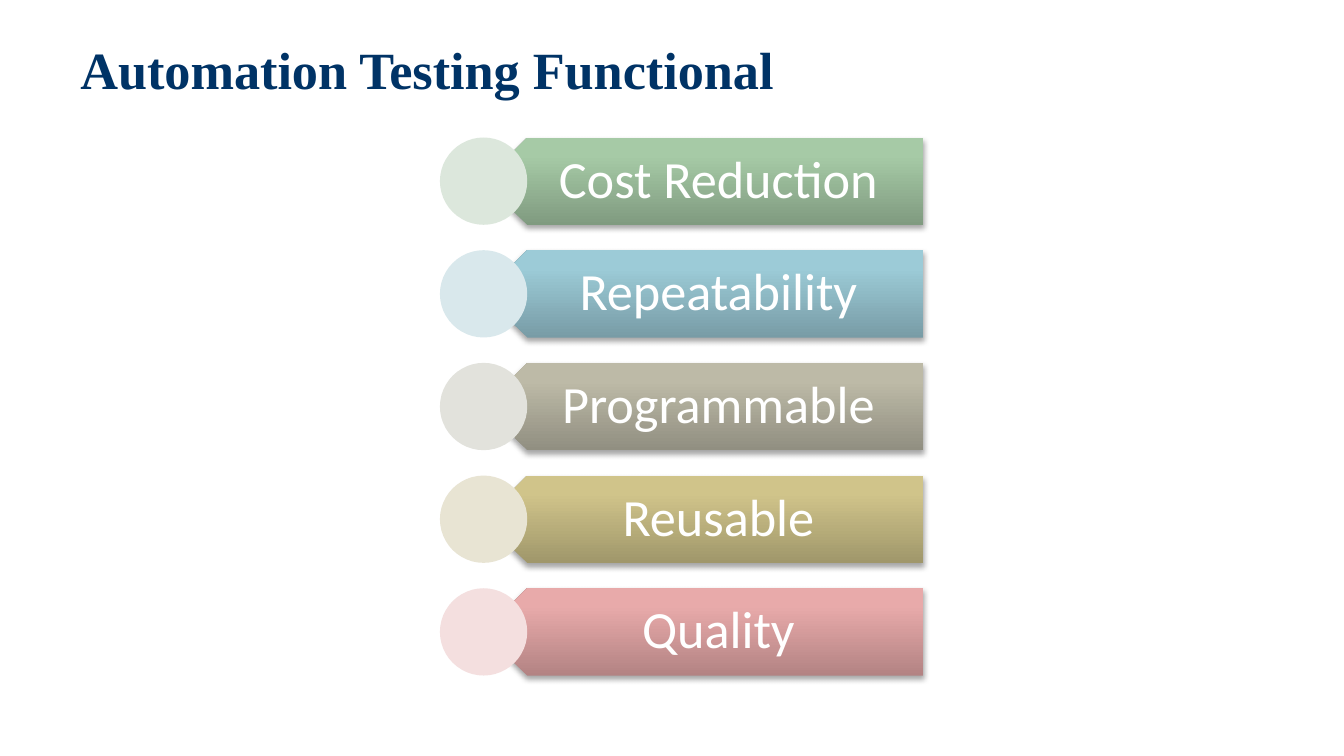
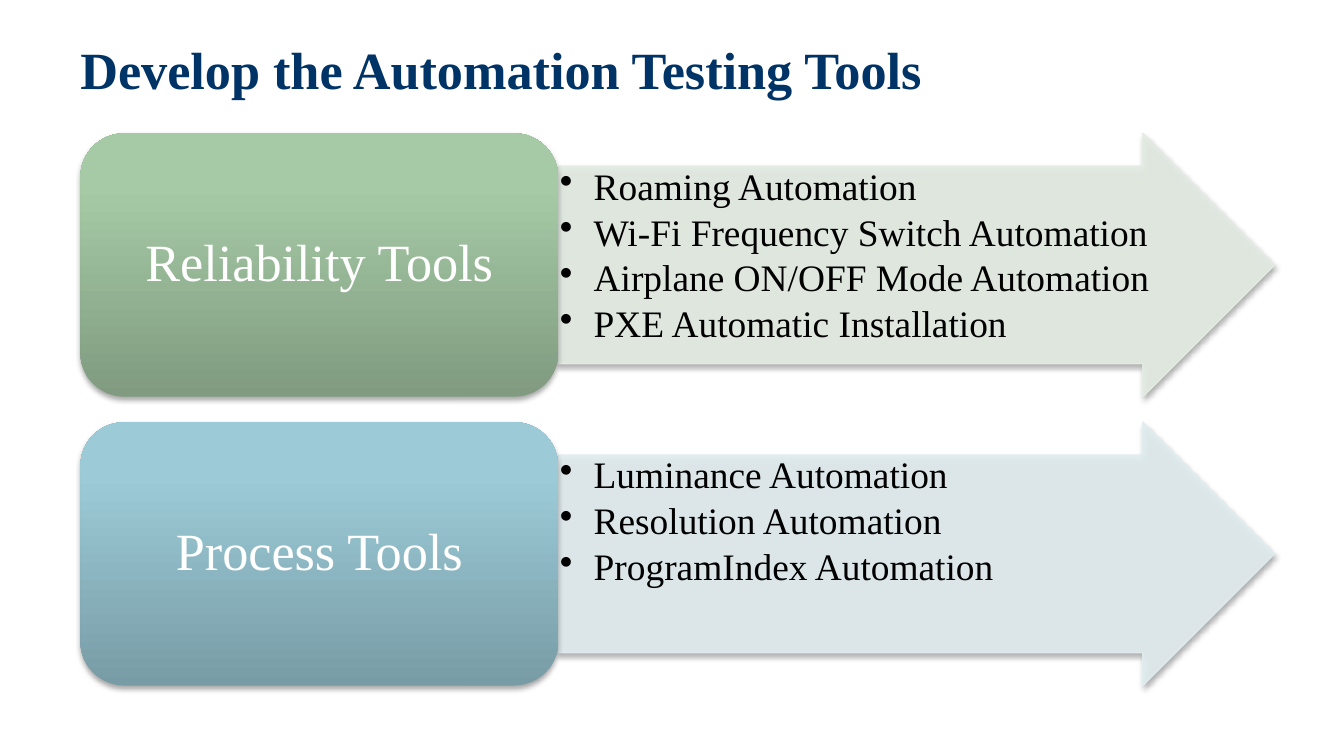
"""Build two slides on automation testing."""
from dataclasses import dataclass
from typing import NamedTuple

from lxml.etree import SubElement as Sub
from pptx import Presentation
from pptx.dml.color import RGBColor
from pptx.enum.shapes import MSO_SHAPE as Kind
from pptx.enum.text import MSO_ANCHOR as Anchor, PP_ALIGN as Align
from pptx.oxml.ns import qn
from pptx.shapes.autoshape import Shape
from pptx.slide import Slide
from pptx.util import Cm, Pt

SERIF, SANS = "Times New Roman", "Calibri"
NAVY, WHITE, BLACK = "003366", "FFFFFF", "000000"


class Box(NamedTuple):
    """A frame in centimetres."""
    left: float
    top: float
    width: float
    height: float

    def place(self) -> tuple:
        """Return the frame as lengths."""
        return tuple(Cm(side) for side in self)


@dataclass(frozen=True)
class Shade:
    """The three stops of a gradient, from the bottom up."""
    dark: str
    mid: str
    light: str


@dataclass(frozen=True)
class Banner:
    """A label on a pointed bar with a disc."""
    label: str
    shade: Shade
    disc: str


@dataclass(frozen=True)
class Group:
    """A card with an arrow that lists its tools."""
    label: str
    shade: Shade
    wash: str
    tools: tuple[str, ...]


GREEN = Shade("809B80", "A6CAA6", "A7CBA7")
BLUE = Shade("789CA6", "9CCBD7", "9CCCD9")
GREY = Shade("918F81", "BDBAA7", "BEBBA7")
GOLD = Shade("A0976B", "D0C48A", "D2C68A")
ROSE = Shade("B38383", "E8AAAA", "EAAAAA")

BANNERS = (
    Banner("Cost Reduction", GREEN, "DCE7DC"),
    Banner("Repeatability", BLUE, "D9E8EC"),
    Banner("Programmable", GREY, "E2E2DC"),
    Banner("Reusable", GOLD, "E8E4D3"),
    Banner("Quality", ROSE, "F4DFDF"),
)
GROUPS = (
    Group("Reliability Tools", GREEN, "E4ECE4", (
        "Roaming Automation",
        "Wi-Fi Frequency Switch Automation",
        "Airplane ON/OFF Mode Automation",
        "PXE Automatic Installation",
    )),
    Group("Process Tools", BLUE, "E1EDF0", (
        "Luminance Automation",
        "Resolution Automation",
        "ProgramIndex Automation",
    )),
)


def hue(code: str) -> RGBColor:
    """Turn a hex string into a colour."""
    return RGBColor.from_string(code)


def write(slide: Slide, box: Box, text: str, *, size: float = 28, font: str = SERIF,
          color: str = WHITE, bold: bool = False, align: Align = Align.CENTER,
          anchor: Anchor = Anchor.MIDDLE, pad: tuple = (0.3, 0.15, 0.3, 0.15),
          line: float = 0.9, after: int = 35, bullet: bool = False) -> None:
    """Add a text box with one paragraph for each line of text."""
    frame = slide.shapes.add_textbox(*box.place()).text_frame
    frame.word_wrap = True
    frame.vertical_anchor = anchor
    (frame.margin_left, frame.margin_top,
     frame.margin_right, frame.margin_bottom) = map(Cm, pad)
    frame.text = text
    for para in frame.paragraphs:
        para.alignment = align
        para.line_spacing = line
        face = para.runs[0].font
        face.name, face.size, face.bold = font, Pt(size), bold
        face.color.rgb = hue(color)
        props = para._p.get_or_add_pPr()
        Sub(Sub(props, qn("a:spcAft")), qn("a:spcPct"), val=str(after * 1000))
        if bullet:
            para.level = 1
            props.set("marL", str(Cm(0.64)))
            props.set("indent", str(-Cm(0.64)))
            Sub(props, qn("a:buChar"), char="•")


def draw(slide: Slide, kind: Kind, box: Box) -> Shape:
    """Add a preset shape without line or shadow."""
    shape = slide.shapes.add_shape(kind, *box.place())
    shape.shadow.inherit = False
    shape.line.fill.background()
    return shape


def blend(shape: Shape, shade: Shade) -> None:
    """Fill a shape with an upright gradient that ignores rotation."""
    shape.fill.gradient()
    grad = shape._element.spPr.find(qn("a:gradFill"))
    for child in list(grad):
        grad.remove(child)
    grad.set("rotWithShape", "0")
    stops = Sub(grad, qn("a:gsLst"))
    for spot, code in zip((0, 80, 100), (shade.dark, shade.mid, shade.light)):
        stop = Sub(stops, qn("a:gs"), pos=str(spot * 1000))
        Sub(stop, qn("a:srgbClr"), val=str(hue(code)))
    Sub(grad, qn("a:lin"), ang="16200000", scaled="0")


def glaze(shape: Shape, code: str) -> None:
    """Give a shape a fill and line of 90 percent strength."""
    shape.fill.solid()
    shape.fill.fore_color.rgb = hue(code)
    shape.line.color.rgb = hue(code)
    shape.line.width = Pt(0.75)
    for tint in shape._element.spPr.iter(qn("a:srgbClr")):
        Sub(tint, qn("a:alpha"), val="90000")


def lift(shape: Shape) -> None:
    """Cast a soft shadow straight down."""
    cast = Sub(shape._element.spPr.find(qn("a:effectLst")), qn("a:outerShdw"),
               blurRad=str(Pt(3.1)), dist=str(Pt(1.8)), dir="5400000", rotWithShape="0")
    Sub(Sub(cast, qn("a:srgbClr"), val=str(hue(BLACK))), qn("a:alpha"), val="35000")


def start(deck: Presentation, title: str) -> Slide:
    """Add a blank slide with its title."""
    slide = deck.slides.add_slide(deck.slide_layouts[6])
    write(slide, Box(1.27, 0.25, 22.86, 2.11), title, color=NAVY, bold=True,
          align=Align.LEFT, pad=(0.25, 0.13, 0.25, 0.13), line=1, after=0)
    return slide


def banner(slide: Slide, item: Banner, top: float) -> None:
    """Draw one pointed bar, its label and its disc."""
    left, width, tall = 9.14, 8.31, 1.65
    bar = draw(slide, Kind.PENTAGON, Box(left, top, width, tall))
    bar.rotation = 180
    blend(bar, item.shade)
    lift(bar)
    write(slide, Box(left + tall / 4, top, width - tall / 4, tall), item.label,
          font=SANS, pad=(0.71, 0.3, 0.56, 0.3))
    disc = draw(slide, Kind.OVAL, Box(left - tall / 2, top, tall, tall))
    disc.fill.solid()
    disc.fill.fore_color.rgb = hue(item.disc)


def group(slide: Slide, item: Group, top: float) -> None:
    """Draw one arrow with its list, and the card before it."""
    left, width, tall, reach, edge = 1.52, 9.03, 4.98, 13.54, 0.24
    tail = left + width
    arrow = draw(slide, Kind.RIGHT_ARROW, Box(tail, top, reach, tall))
    arrow.adjustments[0], arrow.adjustments[1] = 0.75, 0.5
    glaze(arrow, item.wash)
    lift(arrow)
    write(slide, Box(tail, top + tall / 8, reach - tall * 3 / 8, tall * 3 / 4),
          "\n".join(item.tools), size=20, color=BLACK, align=Align.LEFT,
          anchor=Anchor.TOP, pad=(0.03,) * 4, after=15, bullet=True)
    card = draw(slide, Kind.ROUNDED_RECTANGLE, Box(left, top, width, tall))
    blend(card, item.shade)
    lift(card)
    write(slide, Box(left + edge, top + edge, width - 2 * edge, tall - 2 * edge), item.label)


def main() -> None:
    """Build and save the deck."""
    deck = Presentation()
    deck.slide_width, deck.slide_height = Cm(25.4), Cm(14.29)
    slide = start(deck, "Automation Testing Functional")
    for row, item in enumerate(BANNERS):
        banner(slide, item, 2.6 + row * 2.13)
    slide = start(deck, "Develop the Automation Testing Tools")
    for row, item in enumerate(GROUPS):
        group(slide, item, 2.52 + row * 5.46)
    deck.save("out.pptx")


if __name__ == "__main__":
    main()
